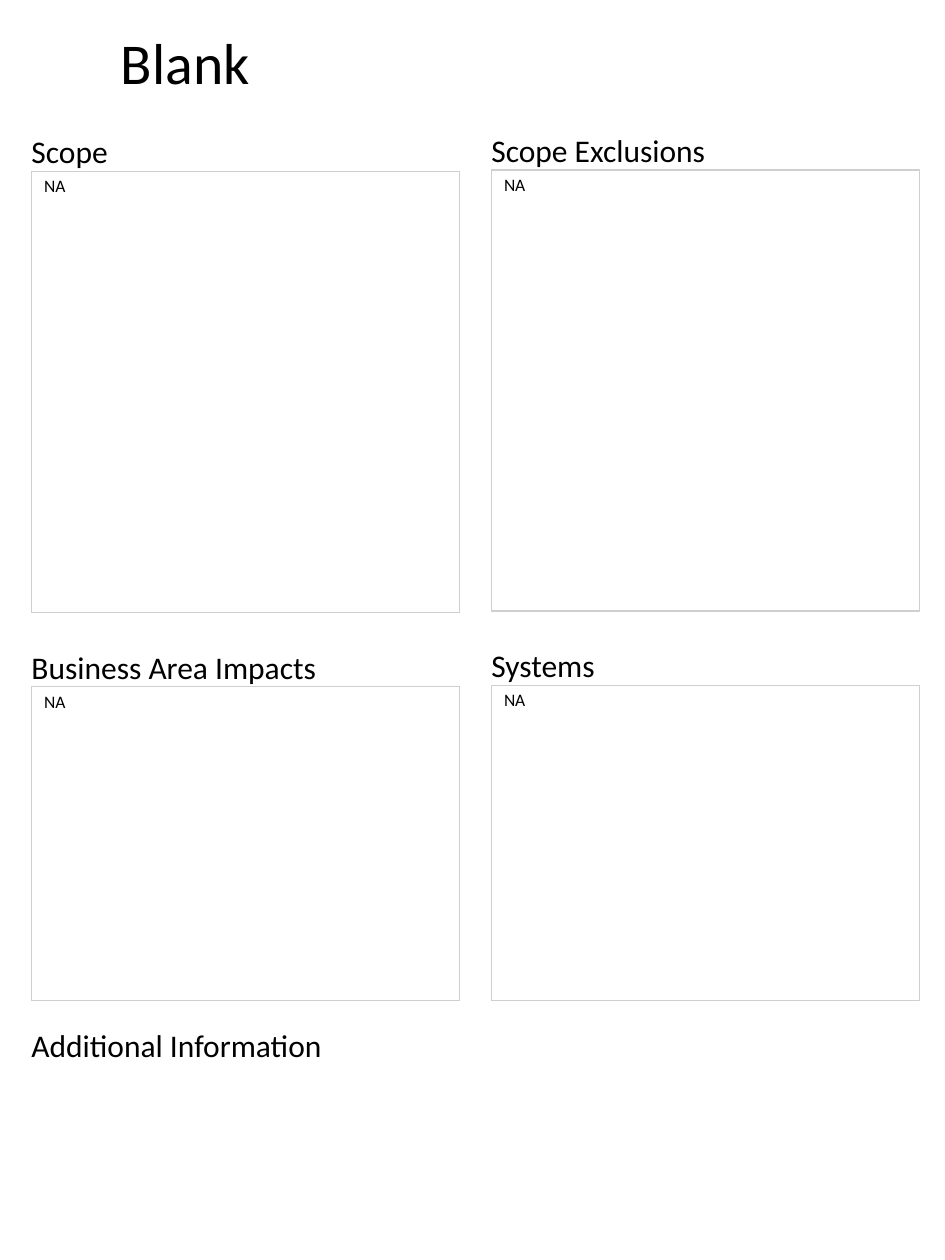
"""Build a one-page scope summary with four bordered panels."""
from dataclasses import dataclass

from lxml import etree
from pptx import Presentation
from pptx.dml.color import RGBColor
from pptx.enum import text
from pptx.oxml import ns
from pptx.util import Pt

PX = 9144
FONT = "Calibri"
COLORS = {"text": "000000", "border": "D0CECE", "page": "FFFFFF"}
LEFT, RIGHT, WIDTH = 25, 390, 340


@dataclass(frozen=True)
class Box:
    x: int
    y: int
    w: int
    h: int


@dataclass(frozen=True)
class Panel:
    heading: str
    box: Box
    body: str = "NA"


PANELS = [
    Panel("Scope", Box(LEFT, 136, WIDTH, 350)),
    Panel("Scope Exclusions", Box(RIGHT, 135, WIDTH, 350)),
    Panel("Business Area Impacts", Box(LEFT, 545, WIDTH, 249)),
    Panel("Systems", Box(RIGHT, 544, WIDTH, 250)),
]


def rgb(name: str) -> RGBColor:
    return RGBColor.from_string(COLORS[name])


def place(sp, box: Box) -> None:
    sp.left, sp.top = box.x * PX, box.y * PX
    sp.width, sp.height = box.w * PX, box.h * PX


def write(sp, words: str, size: int, anchor=text.MSO_ANCHOR.TOP,
          inset: bool = False, spacing: float = 1.0) -> None:
    tf = sp.text_frame
    tf.word_wrap = True
    tf.auto_size = text.MSO_AUTO_SIZE.NONE
    tf.vertical_anchor = anchor
    tf.margin_left = tf.margin_right = 10 * PX if inset else 0
    tf.margin_top = tf.margin_bottom = 5 * PX if inset else 0
    p = tf.paragraphs[0]
    p.alignment = text.PP_ALIGN.LEFT
    p.line_spacing = spacing
    p.space_before = Pt(0)
    r = p.add_run()
    r.text = words
    r.font.name = FONT
    r.font.size = Pt(size)
    r.font.bold = False
    r.font.color.rgb = rgb("text")


def add_heading(s, words: str, x: int, y: int) -> None:
    sp = s.shapes.add_textbox(0, 0, 0, 0)
    place(sp, Box(x, y, WIDTH, 30))
    write(sp, words, 18)


def fill_panel(sp, panel: Panel) -> None:
    place(sp, panel.box)
    sp.line.color.rgb = rgb("border")
    sp.line.width = Pt(0.75)
    write(sp, panel.body, 10, inset=True, spacing=0.9)
    props = sp.text_frame.paragraphs[0]._p.get_or_add_pPr()
    props.set("marL", "0")
    props.set("indent", "0")
    etree.SubElement(props, ns.qn("a:buNone"))


def main() -> None:
    prs = Presentation()
    prs.slide_width, prs.slide_height = 750 * PX, 1000 * PX
    s = prs.slides.add_slide(prs.slide_layouts.get_by_name("Comparison"))
    s.background.fill.solid()
    s.background.fill.fore_color.rgb = rgb("page")

    title, *bodies = s.placeholders
    place(title, Box(96, 27, 625, 50))
    write(title, "Blank", 33, text.MSO_ANCHOR.MIDDLE, spacing=0.9)
    for sp, panel in zip(bodies, PANELS):
        add_heading(s, panel.heading, panel.box.x, panel.box.y - 31)
        fill_panel(sp, panel)
    add_heading(s, "Additional Information", LEFT, 814)
    prs.save("out.pptx")


if __name__ == "__main__":
    main()
